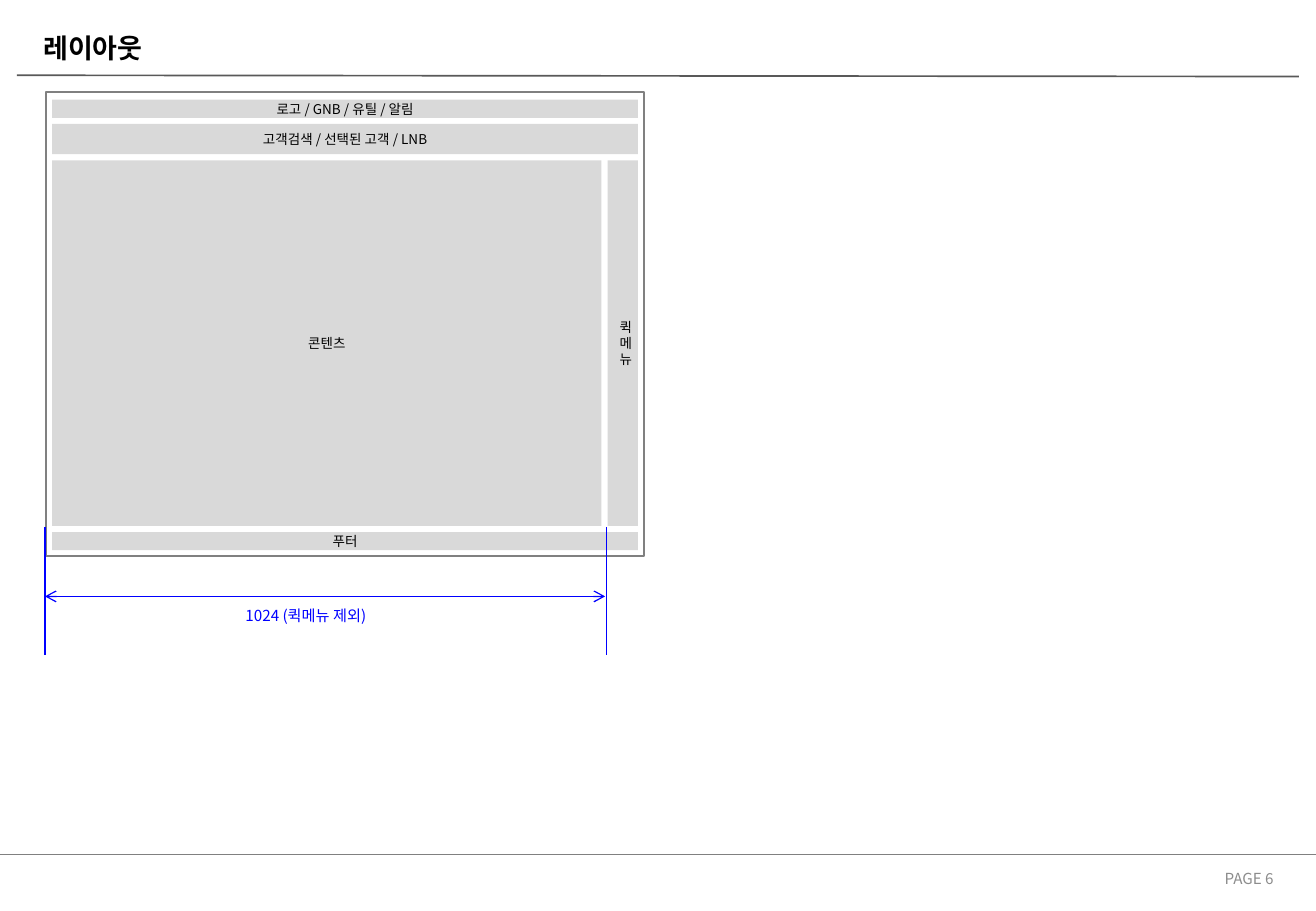
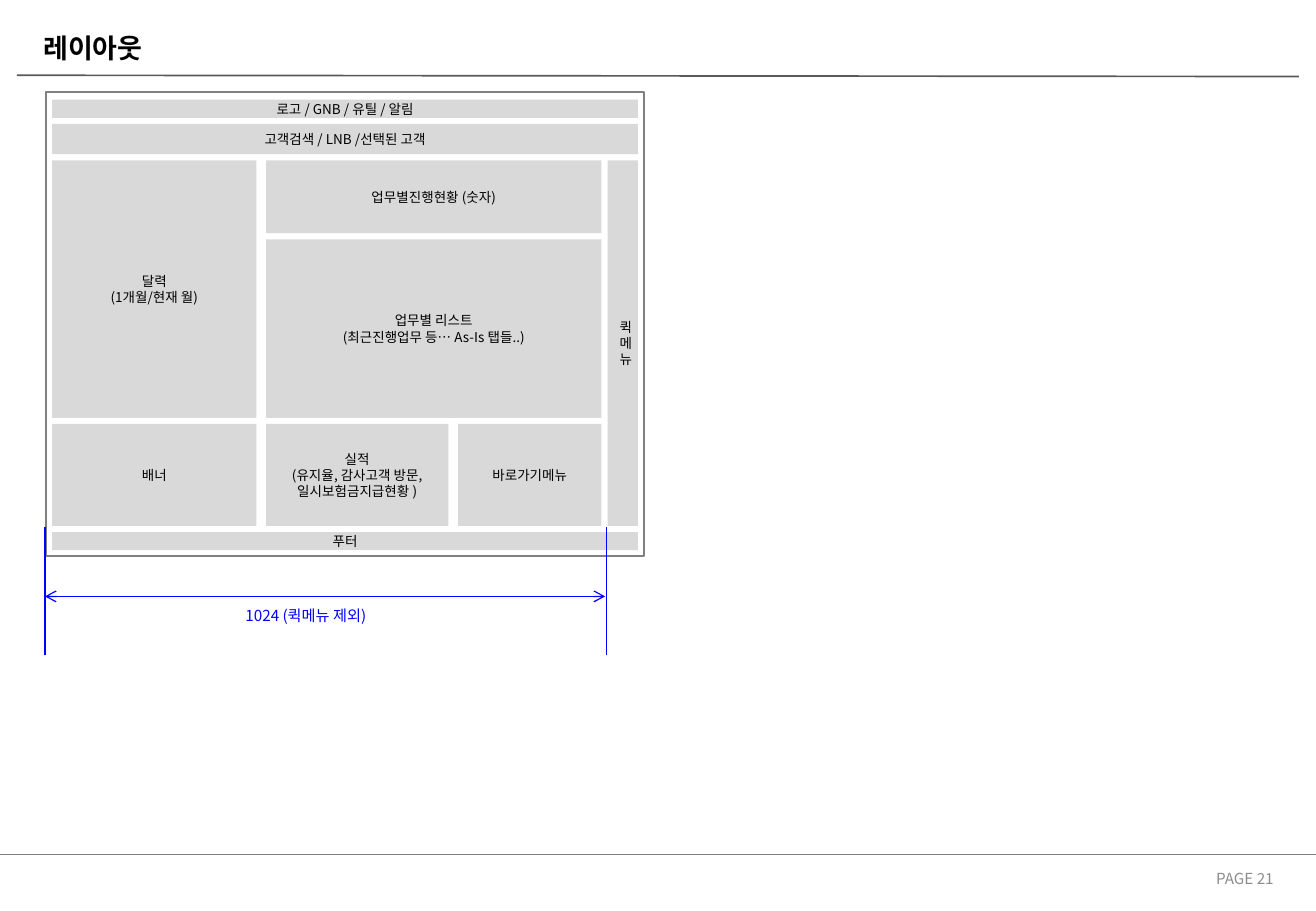
"""Two page-layout wireframe slides with a shared title, rules, footer and width marker."""
from pptx import Presentation
from pptx.dml.color import RGBColor
from pptx.enum.shapes import MSO_CONNECTOR, MSO_SHAPE
from pptx.enum.text import MSO_ANCHOR, MSO_AUTO_SIZE, PP_ALIGN
from pptx.oxml.ns import qn
from pptx.util import Inches, Pt
from lxml.etree import SubElement

FONT = "Noto Sans CJK KR"
BLACK = RGBColor(0x00, 0x00, 0x00)
BLUE = RGBColor(0x00, 0x00, 0xFF)
BLOCK_GRAY = RGBColor(0xD9, 0xD9, 0xD9)
FRAME_GRAY = RGBColor(0x80, 0x80, 0x80)
TITLE_RULE = RGBColor(0x59, 0x59, 0x59)
PAGE_GRAY = RGBColor(0x8C, 0x8C, 0x8C)

TITLE = "레이아웃"
WIDTH_NOTE = "1024 (퀵메뉴 제외)"
TITLE_FORMAT = {"size": Pt(16), "bold": True}
BLOCK_FORMAT = {"size": Pt(8)}
PAGE_FORMAT = {"size": Pt(9)}

FRAME = (0.38, 0.76, 4.92, 3.82)
PAGE_GRID = {"left": 0.43, "top": 0.82, "gap_x": 0.05, "gap_y": 0.05,
             "columns": (4.52, 0.25), "rows": (0.15, 0.25, 3.01, 0.15)}
BODY_GRID = {"left": 0.43, "top": 1.32, "gap_x": 0.08, "gap_y": 0.05,
             "columns": (1.68, 1.5, 1.18), "rows": (0.6, 1.47, 0.84)}

CONTENT_BODY = [(0, 0, 3, 3, ["콘텐츠"])]
DASHBOARD_BODY = [
    (0, 0, 1, 2, ["달력", "(1개월/현재 월)"]),
    (1, 0, 2, 1, ["업무별진행현황 (숫자)"]),
    (1, 1, 2, 1, ["업무별 리스트", "(최근진행업무 등… As-Is 탭들..)"]),
    (0, 2, 1, 1, ["배너"]),
    (1, 2, 1, 1, ["실적", "(유지율, 감사고객 방문, 일시보험금지급현황 )"]),
    (2, 2, 1, 1, ["바로가기메뉴"]),
]
PAGES = [
    (6, "고객검색 / 선택된 고객 / LNB", CONTENT_BODY),
    (21, "고객검색 / LNB /선택된 고객", DASHBOARD_BODY),
]


def common_blocks(search_bar):
    return [
        (0, 0, 2, 1, ["로고 / GNB / 유틸 / 알림"]),
        (0, 1, 2, 1, [search_bar]),
        (1, 2, 1, 1, ["퀵메뉴"]),
        (0, 3, 2, 1, ["푸터"]),
    ]


def write(frame, lines, formats, color, align=PP_ALIGN.LEFT):
    frame.word_wrap = True
    frame.vertical_anchor = MSO_ANCHOR.MIDDLE
    for index, line in enumerate(lines):
        paragraph = frame.paragraphs[0] if index == 0 else frame.add_paragraph()
        paragraph.alignment = align
        run = paragraph.add_run()
        run.text = line
        for name, value in {"name": FONT, **formats}.items():
            setattr(run.font, name, value)
        run.font.color.rgb = color
        SubElement(run.font._element, qn("a:ea"), typeface=FONT)


def add_label(slide, box, text, formats, color, align=PP_ALIGN.LEFT):
    frame = slide.shapes.add_textbox(*map(Inches, box)).text_frame
    write(frame, [text], formats, color, align)
    return frame


def add_rect(slide, box):
    rect = slide.shapes.add_shape(MSO_SHAPE.RECTANGLE, *map(Inches, box))
    rect.shadow.inherit = False
    return rect


def add_rule(slide, ends, color, width, arrows=False):
    rule = slide.shapes.add_connector(MSO_CONNECTOR.STRAIGHT, *map(Inches, ends))
    rule.line.color.rgb = color
    rule.line.width = Pt(width)
    if arrows:
        outline = rule.line._get_or_add_ln()
        for end in ("a:headEnd", "a:tailEnd"):
            SubElement(outline, qn(end), type="arrow")
    SubElement(rule._element.spPr, qn("a:effectLst"))


def span(sizes, origin, gap, first, count):
    start = origin + sum(sizes[:first]) + gap * first
    return start, sum(sizes[first:first + count]) + gap * (count - 1)


def add_blocks(slide, grid, blocks):
    for column, row, column_span, row_span, lines in blocks:
        left, width = span(grid["columns"], grid["left"], grid["gap_x"], column, column_span)
        top, height = span(grid["rows"], grid["top"], grid["gap_y"], row, row_span)
        block = add_rect(slide, (left, top, width, height))
        block.fill.solid()
        block.fill.fore_color.rgb = BLOCK_GRAY
        block.line.fill.background()
        write(block.text_frame, lines, BLOCK_FORMAT, BLACK, PP_ALIGN.CENTER)


def add_base(slide, page):
    add_rule(slide, (0, 7.03, 10.83, 7.03), FRAME_GRAY, 0.25)
    add_rule(slide, (0.14, 0.62, 10.69, 0.63), TITLE_RULE, 1)
    add_label(slide, (0.26, 0.23, 8.2, 0.32), TITLE, TITLE_FORMAT, BLACK)
    add_label(slide, (8.05, 7.11, 2.53, 0.24), f"PAGE {page}", PAGE_FORMAT,
              PAGE_GRAY, PP_ALIGN.RIGHT)


def add_frame(slide):
    frame = add_rect(slide, FRAME)
    frame.fill.background()
    frame.line.color.rgb = FRAME_GRAY
    frame.line.width = Pt(1)


def add_width_marker(slide):
    left, right = 0.37, 4.99
    add_rule(slide, (left, 4.91, right - 0.01, 4.91), BLUE, 0.75, arrows=True)
    for edge in (left, right):
        add_rule(slide, (edge, 4.34, edge, 5.39), BLUE, 0.75)
    note = add_label(slide, (2, 4.93, 1.12, 0.24), WIDTH_NOTE, PAGE_FORMAT, BLUE)
    note.paragraphs[0].line_spacing = 1.3
    settings = {"word_wrap": False, "auto_size": MSO_AUTO_SIZE.SHAPE_TO_FIT_TEXT,
                "vertical_anchor": MSO_ANCHOR.TOP}
    for side in ("left", "right", "top", "bottom"):
        settings[f"margin_{side}"] = Inches(0.02)
    for name, value in settings.items():
        setattr(note, name, value)


def main():
    deck = Presentation()
    deck.slide_width, deck.slide_height = Inches(10.83), Inches(7.5)
    for page, search_bar, body in PAGES:
        slide = deck.slides.add_slide(deck.slide_layouts[6])
        add_base(slide, page)
        add_blocks(slide, PAGE_GRID, common_blocks(search_bar))
        add_blocks(slide, BODY_GRID, body)
        add_frame(slide)
        add_width_marker(slide)
    deck.save("out.pptx")


if __name__ == "__main__":
    main()
